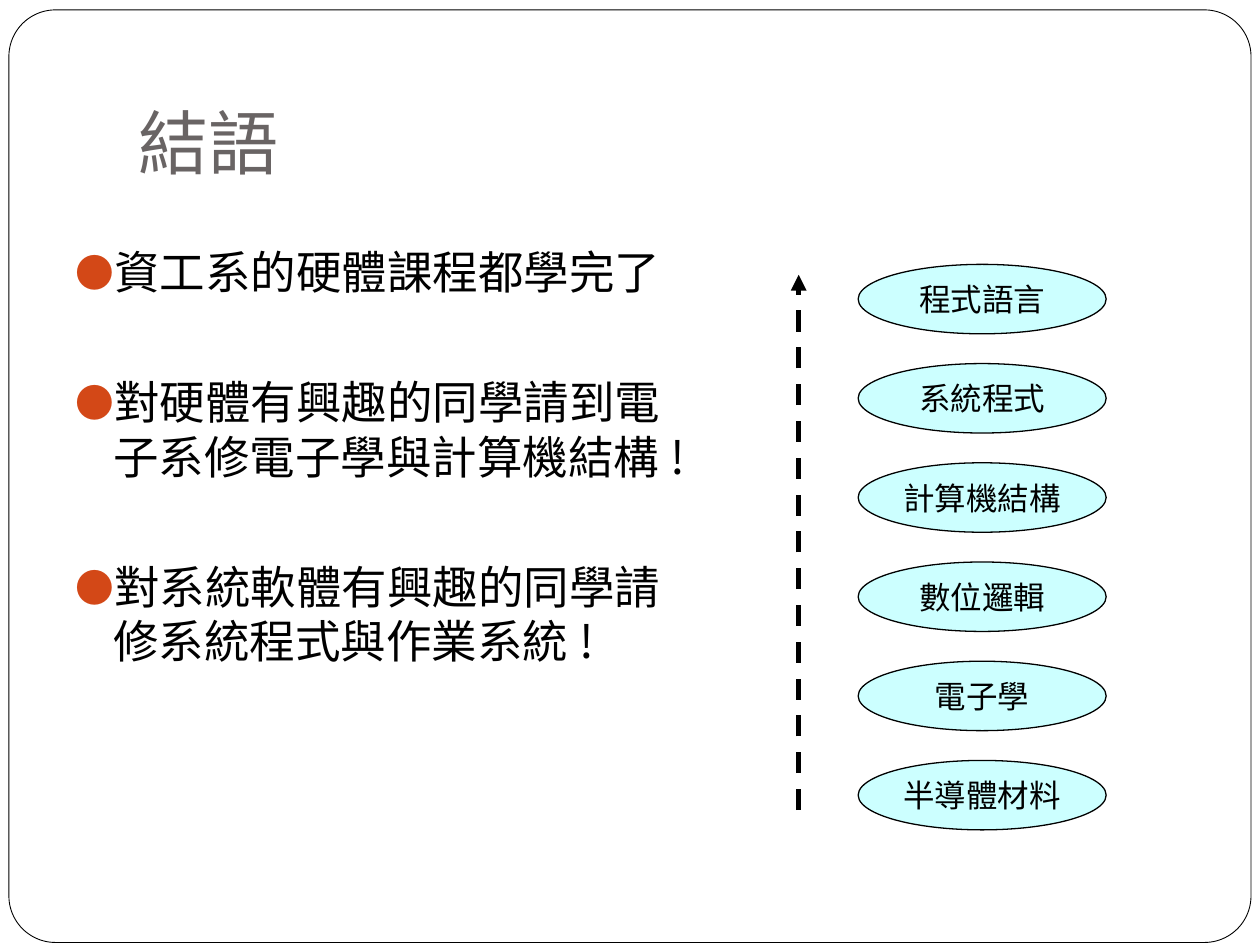
from pptx import Presentation, util as u
from pptx.dml.color import RGBColor
from pptx.enum import dml, shapes, text
from pptx.oxml.ns import qn
from lxml import etree

COLORS = {"title": "696464", "text": "000000", "bullet": "D34817", "oval": "CCFFFF"}
CJK_FONT = "Noto Sans CJK SC"
POINTS = [
    "資工系的硬體課程都學完了",
    "對硬體有興趣的同學請到電子系修電子學與計算機結構 !",
    "對系統軟體有興趣的同學請修系統程式與作業系統 !",
]
COURSES = ["程式語言", "系統程式", "計算機結構", "數位邏輯", "電子學", "半導體材料"]


def rgb(name):
    return RGBColor.from_string(COLORS[name])


def write(paragraph, content, size, color="text", font=CJK_FONT, align=text.PP_ALIGN.LEFT):
    paragraph.alignment = align
    run = paragraph.add_run()
    run.text = content
    run.font.size = u.Pt(size)
    run.font.name = font
    run.font.color.rgb = rgb(color)
    if font == CJK_FONT:
        east_asian = etree.SubElement(run.font._element, qn("a:ea"))
        east_asian.set("typeface", font)


def place(shape, left, top, width, height):
    shape.left, shape.top = u.Cm(left), u.Cm(top)
    shape.width, shape.height = u.Cm(width), u.Cm(height)


def add_bullet(paragraph):
    properties = paragraph._p.get_or_add_pPr()
    properties.set("marL", str(u.Cm(0.76)))
    properties.set("indent", str(u.Cm(-0.76)))
    color = etree.SubElement(properties, qn("a:buClr"))
    etree.SubElement(color, qn("a:srgbClr")).set("val", COLORS["bullet"])
    etree.SubElement(properties, qn("a:buSzPct")).set("val", "85000")
    etree.SubElement(properties, qn("a:buFont")).set("typeface", CJK_FONT)
    etree.SubElement(properties, qn("a:buChar")).set("char", "●")


def add_outlined(slide, kind, box, line_width):
    shape = slide.shapes.add_shape(kind, *(u.Cm(value) for value in box))
    shape.shadow.inherit = False
    shape.line.color.rgb = rgb("text")
    shape.line.width = u.Pt(line_width)
    return shape


def add_frame(slide):
    frame = add_outlined(slide, shapes.MSO_SHAPE.ROUNDED_RECTANGLE,
                         (0.18, 0.2, 25.04, 18.8), 0.5)
    frame.adjustments[0] = 0.05
    frame.fill.background()
    slide.shapes._spTree.insert(2, frame._element)  # send to back


def fill_title(title):
    place(title, 2.54, 0.76, 21.59, 3.18)
    frame = title.text_frame
    frame.auto_size = text.MSO_AUTO_SIZE.NONE
    frame.vertical_anchor = text.MSO_ANCHOR.BOTTOM
    frame.margin_bottom = u.Cm(0.25)
    write(frame.paragraphs[0], "結語", 40, color="title")


def fill_body(body):
    place(body, 1.27, 4.78, 13.03, 12.24)
    frame = body.text_frame
    frame.auto_size = text.MSO_AUTO_SIZE.NONE
    for index, point in enumerate(POINTS):
        paragraph = frame.add_paragraph() if index else frame.paragraphs[0]
        paragraph.line_spacing = u.Pt(31.4)
        paragraph.space_before = u.Pt(42.8 if index else 5.7)
        write(paragraph, point, 26)
        add_bullet(paragraph)


def add_course(slide, name, top):
    oval = add_outlined(slide, shapes.MSO_SHAPE.OVAL, (17.3, top, 5, 1.4), 0.75)
    oval.fill.solid()
    oval.fill.fore_color.rgb = rgb("oval")
    frame = oval.text_frame
    frame.word_wrap = False
    frame.vertical_anchor = text.MSO_ANCHOR.MIDDLE
    write(frame.paragraphs[0], name, 18, font="Arial", align=text.PP_ALIGN.CENTER)


def add_dashed_arrow(slide, x, start, end):
    arrow = slide.shapes.add_connector(shapes.MSO_CONNECTOR.STRAIGHT,
                                       u.Cm(x), u.Cm(start), u.Cm(x), u.Cm(end))
    arrow.line.color.rgb = rgb("text")
    arrow.line.width = u.Pt(3)
    arrow.line.dash_style = dml.MSO_LINE.DASH
    etree.SubElement(arrow.line._get_or_add_ln(), qn("a:tailEnd")).set("type", "triangle")
    etree.SubElement(arrow._element.spPr, qn("a:effectLst"))


def main():
    presentation = Presentation()
    presentation.slide_width, presentation.slide_height = u.Cm(25.4), u.Cm(19.05)
    slide = presentation.slides.add_slide(presentation.slide_layouts[1])
    add_frame(slide)
    fill_title(slide.shapes.title)
    fill_body(slide.placeholders[1])
    for index, course in enumerate(COURSES):
        add_course(slide, course, 5.33 + 2 * index)
    add_dashed_arrow(slide, 16.1, 16.33, 5.54)
    presentation.save("out.pptx")


if __name__ == "__main__":
    main()
